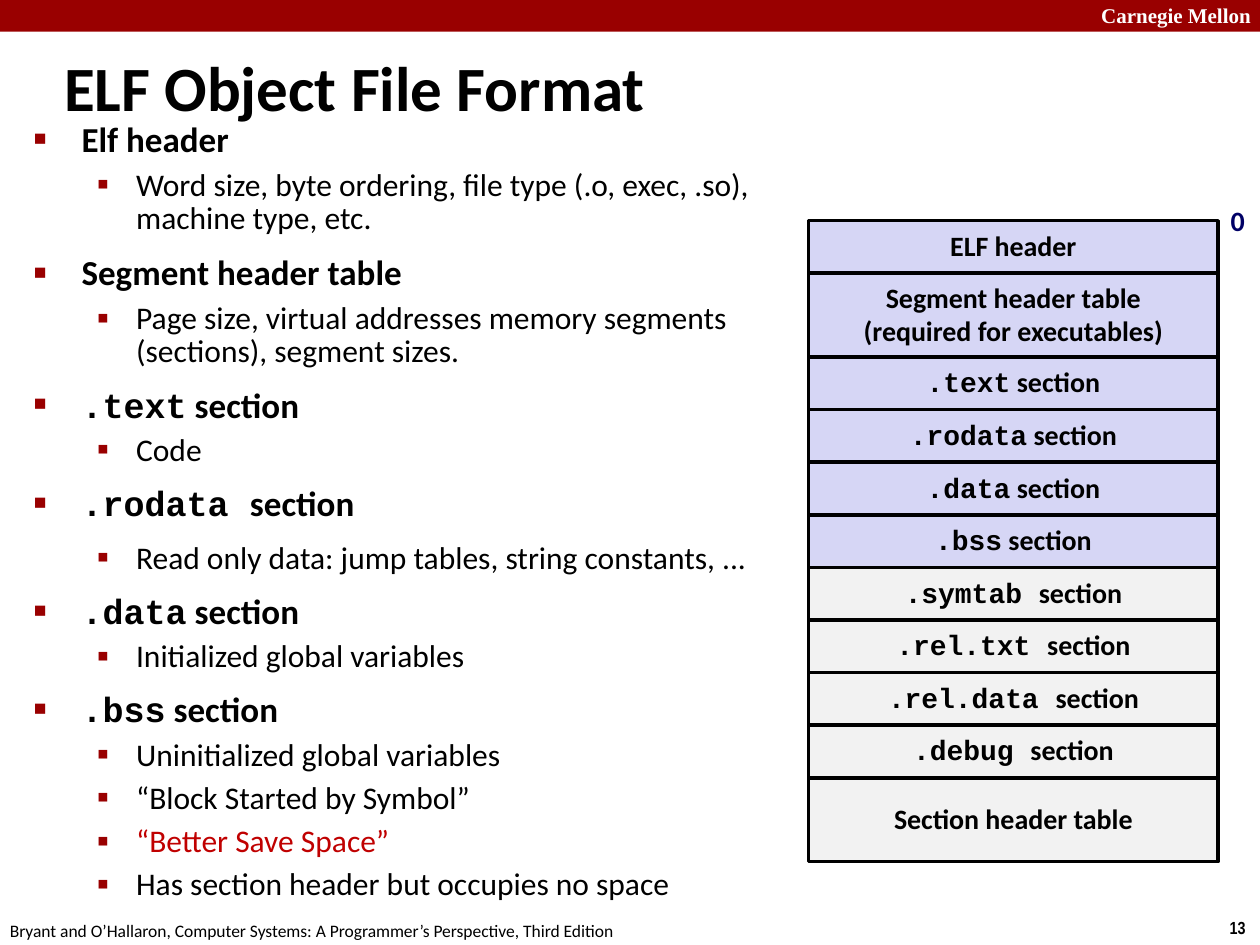
from dataclasses import dataclass

import pptx
import pptx.dml.color
import pptx.enum.shapes
import pptx.enum.text
import pptx.oxml.ns
import pptx.util
from lxml import etree

Cm = pptx.util.Cm
Pt = pptx.util.Pt
RGBColor = pptx.dml.color.RGBColor
PP_ALIGN = pptx.enum.text.PP_ALIGN
MSO_ANCHOR = pptx.enum.text.MSO_ANCHOR
RECTANGLE = pptx.enum.shapes.MSO_SHAPE.RECTANGLE

BLACK = RGBColor(0x00, 0x00, 0x00)
WHITE = RGBColor(0xFF, 0xFF, 0xFF)
CRIMSON = RGBColor(0x99, 0x00, 0x00)
RED = RGBColor(0xC0, 0x00, 0x00)
NAVY = RGBColor(0x00, 0x00, 0x66)
LAVENDER = RGBColor(0xD6, 0xD6, 0xF5)
LIGHT_GRAY = RGBColor(0xF2, 0xF2, 0xF2)

SANS = "Calibri"
MONO = "Courier New"

TABLE_LEFT, TABLE_TOP, TABLE_WIDTH = Cm(16.3), Cm(4.45), Cm(8.26)
ROW, TALL_ROW = Cm(1.06), Cm(1.69)


@dataclass
class Topic:
    """A bullet; the code part is set in the monospaced font."""
    text: str
    code: str = ""
    level: int = 0
    color: RGBColor = BLACK
    spacious: bool = False


@dataclass
class Section:
    """One band of the object file."""
    text: str
    code: str = ""
    fill: RGBColor = LAVENDER
    height: int = ROW


TOPICS = [
    Topic("Elf header"),
    Topic("Word size, byte ordering, file type (.o, exec, .so), machine type, etc.", level=1),
    Topic("Segment header table"),
    Topic("Page size, virtual addresses memory segments (sections), segment sizes.", level=1),
    Topic(" section", ".text"),
    Topic("Code", level=1),
    Topic("section", ".rodata "),
    Topic("Read only data: jump tables, string constants, ...", level=1, spacious=True),
    Topic(" section", ".data"),
    Topic("Initialized global variables", level=1),
    Topic(" section", ".bss"),
    Topic("Uninitialized global variables", level=1),
    Topic("“Block Started by Symbol”", level=1),
    Topic("“Better Save Space”", level=1, color=RED),
    Topic("Has section header but occupies no space", level=1),
]

SECTIONS = [
    Section("ELF header"),
    Section("Segment header table\n(required for executables)", height=TALL_ROW),
    Section(" section", ".text"),
    Section(" section", ".rodata"),
    Section(" section", ".data"),
    Section(" section", ".bss"),
    Section("section", ".symtab ", LIGHT_GRAY),
    Section("section", ".rel.txt ", LIGHT_GRAY),
    Section("section", ".rel.data ", LIGHT_GRAY),
    Section("section", ".debug ", LIGHT_GRAY),
    Section("Section header table", fill=LIGHT_GRAY, height=TALL_ROW),
]


def write(paragraph, text: str, *, code: str = "", size: float = 16, font: str = SANS,
          color: RGBColor = BLACK, bold: bool = True, align=PP_ALIGN.LEFT,
          line_spacing: float = 1.0) -> None:
    """Write an optional code part and the text into a paragraph."""
    paragraph.alignment = align
    paragraph.line_spacing = line_spacing
    for part, face in ((code, MONO), (text, font)):
        if part:
            run = paragraph.add_run()
            run.text = part
            run.font.name = face
            run.font.size = Pt(size)
            run.font.bold = bold
            run.font.color.rgb = color


def place(shape, left: float, top: float, width: float, height: float) -> None:
    shape.left, shape.top, shape.width, shape.height = map(Cm, (left, top, width, height))


def add_label(slide, text: str, left: float, top: float, width: float, height: float,
              **text_format) -> None:
    label = slide.shapes.add_textbox(Cm(left), Cm(top), Cm(width), Cm(height))
    label.text_frame.word_wrap = False
    write(label.text_frame.paragraphs[0], text, **text_format)


def add_band(slide, left: int, top: int, width: int, height: int, fill: RGBColor):
    band = slide.shapes.add_shape(RECTANGLE, left, top, width, height)
    band.shadow.inherit = False
    band.fill.solid()
    band.fill.fore_color.rgb = fill
    band.line.fill.background()
    return band


def set_bullet(paragraph, char: str, percent: int, margin: int, hanging: int) -> None:
    properties = paragraph._p.get_or_add_pPr()
    properties.set("marL", str(margin))
    properties.set("indent", str(-hanging))
    qn = pptx.oxml.ns.qn
    color = etree.SubElement(properties, qn("a:buClr"))
    etree.SubElement(color, qn("a:srgbClr"), val=str(CRIMSON))
    etree.SubElement(properties, qn("a:buSzPct"), val=str(percent * 1000))
    etree.SubElement(properties, qn("a:buChar"), char=char)


def add_topic(paragraph, topic: Topic, first: bool) -> None:
    paragraph.level = topic.level
    if topic.level:
        set_bullet(paragraph, "▪", 110, Cm(2.06), Cm(0.79))
        spacing = 0.8 if topic.spacious else 0.88
    else:
        set_bullet(paragraph, "■", 60, Cm(0.96), Cm(0.96))
        spacing = 0.8 if topic.code else 0.83
    wide_gap = topic.spacious or not topic.level
    paragraph.space_before = Pt(0 if first else 12.5 if wide_gap else 5.6)
    write(paragraph, topic.text, code=topic.code, size=18 if topic.level else 20,
          color=topic.color, bold=not topic.level, line_spacing=spacing)


def add_section(slide, section: Section, top: int) -> None:
    band = add_band(slide, TABLE_LEFT, top, TABLE_WIDTH, section.height, section.fill)
    band.line.color.rgb = BLACK
    band.line.width = Pt(2)
    frame = band.text_frame
    frame.word_wrap = False
    frame.vertical_anchor = MSO_ANCHOR.MIDDLE
    for index, line in enumerate(section.text.split("\n")):
        paragraph = frame.add_paragraph() if index else frame.paragraphs[0]
        write(paragraph, line, code=section.code, align=PP_ALIGN.CENTER,
              line_spacing=0.94 if section.code else 0.98)


def main() -> None:
    presentation = pptx.Presentation()
    presentation.slide_width, presentation.slide_height = Cm(25.4), Cm(19.05)
    slide = presentation.slides.add_slide(presentation.slide_layouts[1])

    # Header bar and footer
    add_band(slide, 0, 0, presentation.slide_width, Cm(0.64), CRIMSON)
    add_label(slide, "Carnegie Mellon", 21.95, -0.08, 3.63, 0.76,
              size=12, font="Times New Roman", color=WHITE)
    add_label(slide, "13", 24.54, 18.36, 0.86, 0.69, size=10, font="Arial Narrow")
    add_label(slide, "Bryant and O’Hallaron, Computer Systems: A Programmer’s Perspective, "
              "Third Edition", -0.05, 18.42, 12.9, 0.69, size=10, bold=False)

    # Title
    title = slide.shapes.title
    place(title, 1.04, 0.64, 24.21, 2.18)
    title.text_frame.vertical_anchor = MSO_ANCHOR.MIDDLE
    title.text_frame.auto_size = pptx.enum.text.MSO_AUTO_SIZE.NONE
    write(title.text_frame.paragraphs[0], "ELF Object File Format", size=36)

    # Explanations
    body = slide.placeholders[1]
    place(body, 0.43, 2.39, 15.49, 14.96)
    frame = body.text_frame
    frame.auto_size = pptx.enum.text.MSO_AUTO_SIZE.NONE
    for index, topic in enumerate(TOPICS):
        paragraph = frame.add_paragraph() if index else frame.paragraphs[0]
        add_topic(paragraph, topic, first=index == 0)

    # Object file layout, stacked from offset 0
    top = TABLE_TOP
    for section in SECTIONS:
        add_section(slide, section, top)
        top += section.height
    add_label(slide, "0", 24.56, 4.01, 0.79, 0.94, color=NAVY, line_spacing=0.98)

    presentation.save("out.pptx")


if __name__ == "__main__":
    main()
